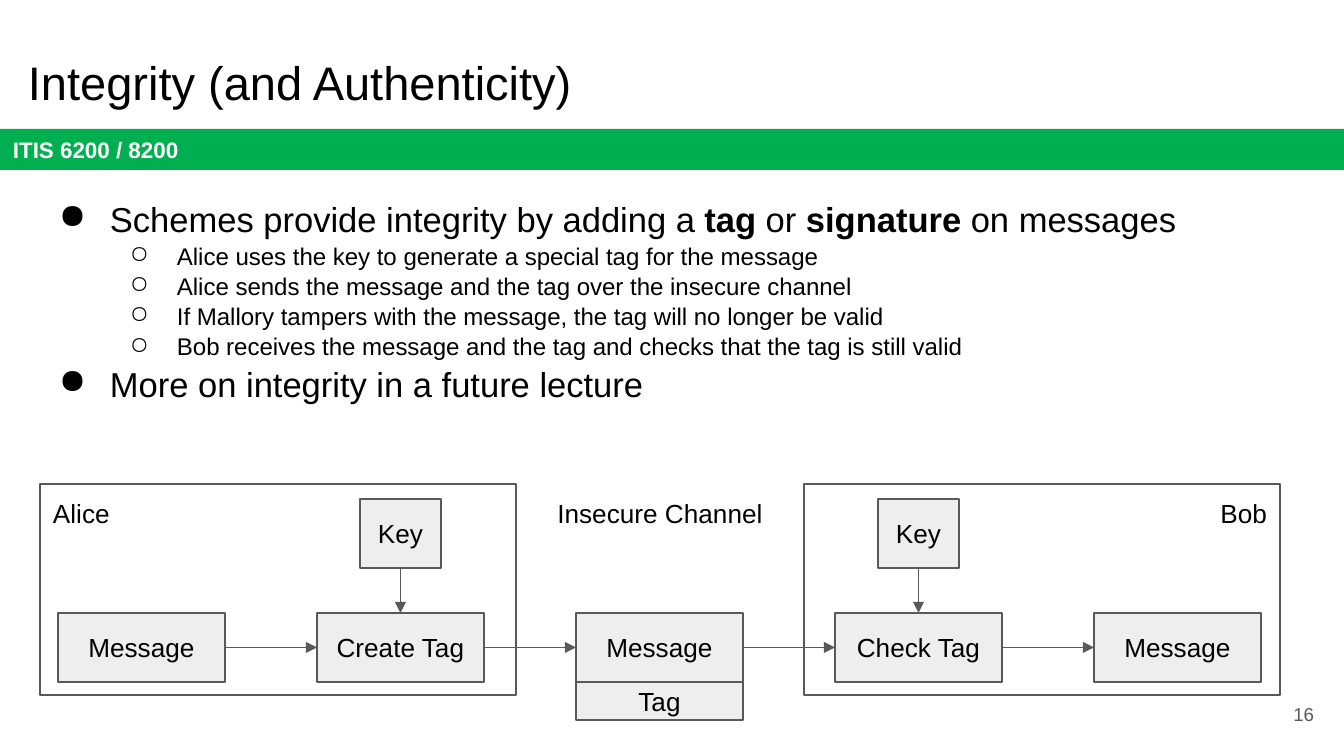
from dataclasses import dataclass

from lxml.etree import SubElement
from pptx import Presentation
from pptx.dml.color import RGBColor
from pptx.enum.shapes import MSO_CONNECTOR, MSO_SHAPE
from pptx.enum.text import MSO_ANCHOR, PP_ALIGN
from pptx.oxml.ns import qn
from pptx.util import Emu, Pt

TOP, LEFT, BOTTOM, RIGHT = range(4)


def px(length):
    """Turn slide pixels into EMU."""
    return Emu(round(length * 914400 / 134.4))


@dataclass(frozen=True)
class Theme:
    """Colours, font and type sizes of the deck."""
    font: str = "Arial"
    ink: str = "000000"
    grey: str = "595959"
    pale: str = "EEEEEE"
    green: str = "00B050"
    white: str = "FFFFFF"
    title: float = 25.2
    point: float = 18.5
    label: float = 14
    detail: float = 12.9
    course: float = 12
    number: float = 10
    stroke: float = 0.75


class Sketch:
    """Draws styled elements on the current slide."""

    def __init__(self, slide, theme):
        """Keep the slide and its style."""
        self.slide = slide
        self.theme = theme

    def style(self, para, size, color, bold=False):
        """Format every run of a paragraph."""
        for span in para.runs:
            span.font.name = self.theme.font
            span.font.size = Pt(size)
            span.font.bold = bold
            span.font.color.rgb = RGBColor.from_string(color)

    def frame(self, shape, anchor):
        """Prepare the text frame of a shape."""
        frame = shape.text_frame
        frame.word_wrap = True
        frame.vertical_anchor = anchor
        frame.margin_left = frame.margin_right = px(13)
        frame.margin_top = frame.margin_bottom = px(13)
        return frame

    def caption(self, shape, text, size, color, align, anchor, bold=False):
        """Put one styled line into a shape."""
        frame = self.frame(shape, anchor)
        frame.text = text
        para = frame.paragraphs[0]
        para.alignment = align
        self.style(para, size, color, bold)

    def rectangle(self, bounds, fill=None, line=None):
        """Draw a plain rectangle."""
        box = self.slide.shapes.add_shape(MSO_SHAPE.RECTANGLE, *map(px, bounds))
        box.shadow.inherit = False
        if fill:
            box.fill.solid()
            box.fill.fore_color.rgb = RGBColor.from_string(fill)
        else:
            box.fill.background()
        if line:
            box.line.color.rgb = RGBColor.from_string(line)
            box.line.width = Pt(self.theme.stroke)
        else:
            box.line.fill.background()
        return box

    def banner(self, bounds, text):
        """Draw the course banner."""
        box = self.rectangle(bounds, self.theme.green)
        self.caption(box, text, self.theme.course, self.theme.white,
                     PP_ALIGN.LEFT, MSO_ANCHOR.MIDDLE, True)

    def node(self, bounds, text):
        """Draw a labelled diagram box."""
        box = self.rectangle(bounds, self.theme.pale, self.theme.grey)
        self.caption(box, text, self.theme.label, self.theme.ink,
                     PP_ALIGN.CENTER, MSO_ANCHOR.MIDDLE)
        return box

    def text(self, bounds, text, size, color, align=PP_ALIGN.LEFT, anchor=MSO_ANCHOR.TOP):
        """Place one line of text."""
        box = self.slide.shapes.add_textbox(*map(px, bounds))
        self.caption(box, text, size, color, align, anchor)

    def bullets(self, bounds, items):
        """Place a two-level list whose odd pieces are bold."""
        levels = [("●", 67, -51, self.theme.point), ("○", 134, -47, self.theme.detail)]
        box = self.slide.shapes.add_textbox(*map(px, bounds))
        frame = self.frame(box, MSO_ANCHOR.TOP)
        for index, (level, pieces) in enumerate(items):
            para = frame.add_paragraph() if index else frame.paragraphs[0]
            symbol, margin, indent, size = levels[level]
            para.level = level
            para.line_spacing = 1.05
            properties = para._p.get_or_add_pPr()
            properties.set("marL", str(px(margin)))
            properties.set("indent", str(px(indent)))
            color = SubElement(properties, qn("a:buClr"))
            SubElement(color, qn("a:srgbClr"), val=self.theme.ink)
            SubElement(properties, qn("a:buChar"), char=symbol)
            for piece in pieces:
                para.add_run().text = piece
            self.style(para, size, self.theme.ink)
            for span in para.runs[1::2]:
                span.font.bold = True

    def arrow(self, start, start_side, end, end_side):
        """Join two boxes with an arrow."""
        line = self.slide.shapes.add_connector(MSO_CONNECTOR.STRAIGHT, 0, 0, 0, 0)
        line.begin_connect(start, start_side)
        line.end_connect(end, end_side)
        line.line.color.rgb = RGBColor.from_string(self.theme.grey)
        line.line.width = Pt(self.theme.stroke)
        SubElement(line.line._get_or_add_ln(), qn("a:tailEnd"), type="triangle")
        SubElement(line._element.spPr, qn("a:effectLst"))


def main():
    """Build the integrity slide."""
    deck = Presentation()
    deck.slide_width, deck.slide_height = px(1344), px(756)
    theme = Theme()
    page = Sketch(deck.slides.add_slide(deck.slide_layouts[6]), theme)

    page.banner((0, 129, 1344, 41), "ITIS 6200 / 8200")
    page.text((15, 40, 1253, 85), "Integrity (and Authenticity)", theme.title, theme.ink)
    page.bullets((30, 183, 1253, 246), [
        (0, ["Schemes provide integrity by adding a ", "tag", " or ", "signature",
             " on messages"]),
        (1, ["Alice uses the key to generate a special tag for the message"]),
        (1, ["Alice sends the message and the tag over the insecure channel"]),
        (1, ["If Mallory tampers with the message, the tag will no longer be valid"]),
        (1, ["Bob receives the message and the tag and checks that the tag is still valid"]),
        (0, ["More on integrity in a future lecture"]),
    ])
    page.text((1246, 685, 81, 58), "16", theme.number, theme.grey,
              PP_ALIGN.RIGHT, MSO_ANCHOR.MIDDLE)

    for left in (40, 804):
        page.rectangle((left, 484, 476, 211), line=theme.grey)
    for left, width, name, align in [
        (40, 113, "Alice", PP_ALIGN.LEFT),
        (516, 288, "Insecure Channel", PP_ALIGN.CENTER),
        (1167, 113, "Bob", PP_ALIGN.RIGHT),
    ]:
        page.text((left, 484, width, 59), name, theme.label, theme.ink, align)

    first, step, width, height, row = 58, 259, 167, 69, 613
    steps = ["Message", "Create Tag", "Message", "Check Tag", "Message"]
    chain = [page.node((first + step * index, row, width, height), name)
             for index, name in enumerate(steps)]
    page.node((first + step * 2, row + height, width, 38), "Tag")
    for start, end in zip(chain, chain[1:]):
        page.arrow(start, RIGHT, end, LEFT)

    key_width = 81
    for index in (1, 3):
        left = first + step * index + (width - key_width) // 2
        key = page.node((left, 499, key_width, height), "Key")
        page.arrow(key, BOTTOM, chain[index], TOP)

    deck.save("out.pptx")


if __name__ == "__main__":
    main()
